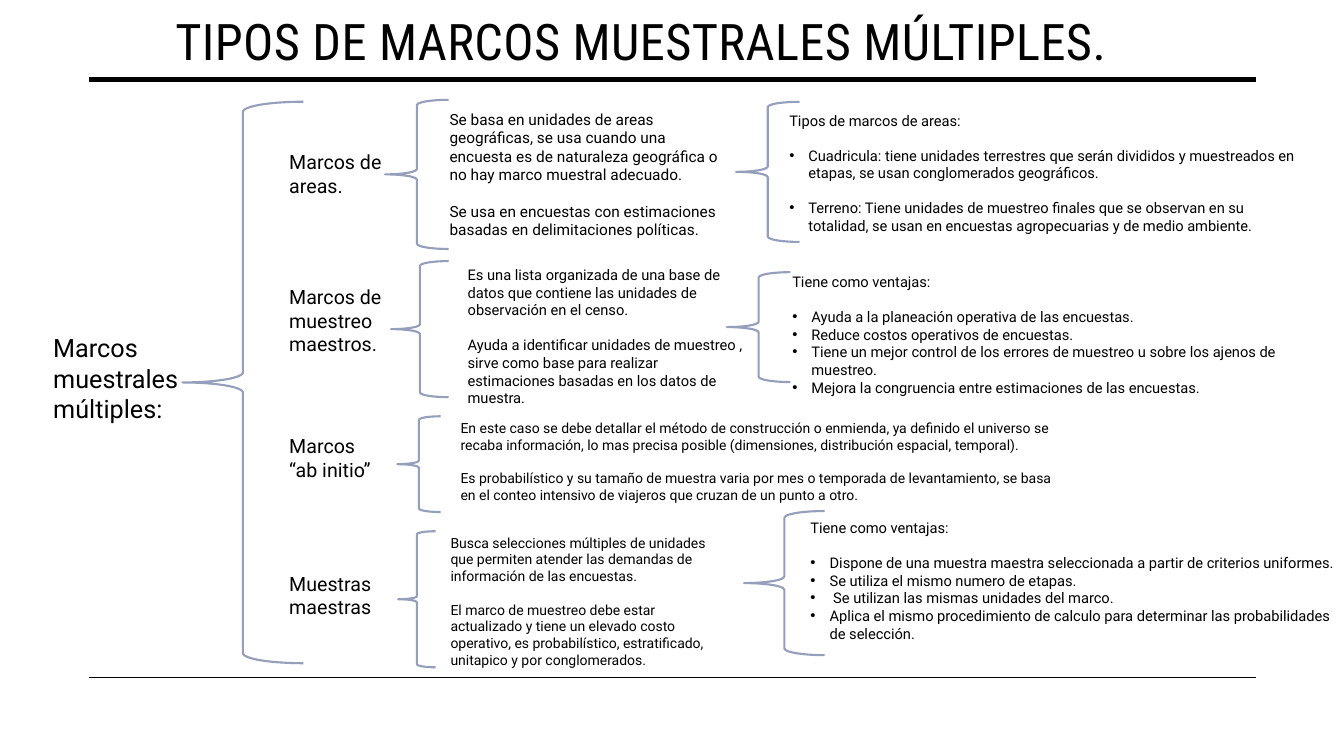
import pptx
import pptx.dml.color
import pptx.enum.shapes
import pptx.enum.text
import pptx.oxml
import pptx.oxml.ns
import pptx.util
from pptx.util import Inches

FONT = "Roboto"
INK = "000000"
BRACE = "959EBB"
LABEL_LEFT = 2.77
INDENT = 0.19


def color(hex_value):
    return pptx.dml.color.RGBColor.from_string(hex_value)


def add_rule(s, y, weight):
    line = s.shapes.add_connector(pptx.enum.shapes.MSO_CONNECTOR.STRAIGHT,
                                  Inches(0.88), Inches(y), Inches(12.46), Inches(y))
    line.line.color.rgb = color(INK)
    line.line.width = pptx.util.Pt(weight)
    line._element.spPr.append(pptx.oxml.parse_xml(
        f'<a:effectLst {pptx.oxml.ns.nsdecls("a")}/>'))


def add_brace(s, box):
    sp = s.shapes.add_shape(pptx.enum.shapes.MSO_SHAPE.LEFT_BRACE,
                            *(Inches(v) for v in box))
    sp.shadow.inherit = False
    sp.fill.background()
    sp.line.color.rgb = color(BRACE)
    sp.line.width = pptx.util.Pt(1.5)


def add_bullet(p):
    pPr = p._p.get_or_add_pPr()
    pPr.set("marL", str(Inches(INDENT)))
    pPr.set("indent", str(-Inches(INDENT)))
    pPr.append(pptx.oxml.parse_xml(
        f'<a:buFont {pptx.oxml.ns.nsdecls("a")} typeface="Arial"/>'))
    pPr.append(pptx.oxml.parse_xml(
        f'<a:buChar {pptx.oxml.ns.nsdecls("a")} char="•"/>'))


def add_text(s, box, size, paragraphs, gaps=(), bullets=False, font=FONT):
    """Place text; gaps lists the paragraphs that have a line of space above."""
    tb = s.shapes.add_textbox(*(Inches(v) for v in box))
    tf = tb.text_frame
    tf.word_wrap = True
    for i, text in enumerate(paragraphs):
        p = tf.paragraphs[0] if i == 0 else tf.add_paragraph()
        if i in gaps:
            p.space_before = pptx.util.Pt(round(size * 1.17, 1))
        if bullets and i > 0:
            add_bullet(p)
        r = p.add_run()
        r.text = text
        r.font.name = font
        r.font.size = pptx.util.Pt(size)
        r.font.color.rgb = color(INK)
    return tb


def add_title(s):
    tb = add_text(s, (1.64, 0.05, 11.69, 0.7), 36,
                  ["TIPOS DE MARCOS MUESTRALES MÚLTIPLES."], font="Roboto Condensed")
    tb.text_frame.paragraphs[0].runs[0]._r.get_or_add_rPr().set("spc", "30")


def add_root(s):
    add_text(s, (0.43, 3.25, 1.47, 1.01), 18, ["Marcos muestrales múltiples:"])
    add_brace(s, (1.81, 1.01, 1.2, 5.57))


def add_branch(s, label_box, label, brace, body_box, size, body, detail=None):
    """Draw a label, its brace and description, and an optional bulleted detail."""
    top, width, height = label_box
    add_text(s, (LABEL_LEFT, top, width, height), 14, label)
    add_brace(s, brace)
    add_text(s, body_box, size, body, gaps=(1,))
    if detail:
        detail_brace, detail_box, items, gaps = detail
        add_brace(s, detail_brace)
        add_text(s, detail_box, 10.5, items, gaps, bullets=True)


BRANCHES = [
    ((1.44, 1.55, 0.57), ["Marcos de areas."],
     (3.82, 0.99, 0.63, 1.48), (4.36, 1.04, 2.95, 1.4), 11,
     ["Se basa en unidades de areas geográficas, se usa cuando una encuesta es de "
      "naturaleza geográfica o no hay marco muestral adecuado.",
      "Se usa en encuestas con estimaciones basadas en delimitaciones políticas."],
     ((7.3, 1.01, 0.63, 1.39), (7.73, 1.06, 5.28, 1.34),
      ["Tipos de marcos de areas:",
       "Cuadricula: tiene unidades terrestres que serán divididos y muestreados en "
       "etapas, se usan conglomerados geográficos.",
       "Terreno: Tiene unidades de muestreo finales que se observan en su totalidad, "
       "se usan en encuestas agropecuarias y de medio ambiente."], (1, 2))),
    ((2.78, 1.63, 0.81), ["Marcos de muestreo maestros."],
     (3.88, 2.59, 0.57, 1.35), (4.54, 2.59, 2.95, 1.34), 10.5,
     ["Es una lista organizada de una base de datos que contiene las unidades de "
      "observación en el censo.",
      "Ayuda a identificar unidades de muestreo , sirve como base para realizar "
      "estimaciones basadas en los datos de muestra."],
     ((7.21, 2.7, 0.63, 1.09), (7.76, 2.66, 5.5, 1.16),
      ["Tiene como ventajas:",
       "Ayuda a la planeación operativa de las encuestas.",
       "Reduce costos operativos de encuestas.",
       "Tiene un mejor control de los errores de muestreo u sobre los ajenos de muestreo.",
       "Mejora la congruencia entre estimaciones de las encuestas."], (1,))),
    ((4.26, 1.55, 0.57), ["Marcos", "“ab initio”"],
     (3.94, 4.13, 0.43, 0.95), (4.47, 4.11, 6.1, 0.94), 10,
     ["En este caso se debe detallar el método de construcción o enmienda, ya definido "
      "el universo se recaba información, lo mas precisa posible (dimensiones, "
      "distribución espacial, temporal).",
      "Es probabilístico y su tamaño de muestra varia por mes o temporada de "
      "levantamiento, se basa en el conteo intensivo de viajeros que cruzan de un "
      "punto a otro."]),
    ((5.62, 1.55, 0.57), ["Muestras maestras"],
     (3.95, 5.27, 0.37, 1.35), (4.37, 5.25, 2.95, 1.45), 10,
     ["Busca selecciones múltiples de unidades que permiten atender las demandas de "
      "información de las encuestas.",
      "El marco de muestreo debe estar actualizado y tiene un elevado costo operativo, "
      "es probabilístico, estratificado, unitapico y por conglomerados."],
     ((7.38, 5.07, 0.8, 1.43), (7.94, 5.1, 5.5, 1.34),
      ["Tiene como ventajas:",
       "Dispone de una muestra maestra seleccionada a partir de criterios uniformes.",
       "Se utiliza el mismo numero de etapas.",
       " Se utilizan las mismas unidades del marco.",
       "Aplica el mismo procedimiento de calculo para determinar las probabilidades "
       "de selección."], (1,))),
]


def main():
    prs = pptx.Presentation()
    prs.slide_width = Inches(13.33)
    prs.slide_height = Inches(7.5)
    s = prs.slides.add_slide(prs.slide_layouts[6])

    # Rules and title
    add_rule(s, 0.79, 3.5)
    add_rule(s, 6.72, 1)
    add_title(s)

    # Diagram
    add_root(s)
    for branch in BRANCHES:
        add_branch(s, *branch)

    prs.save("out.pptx")


if __name__ == "__main__":
    main()
